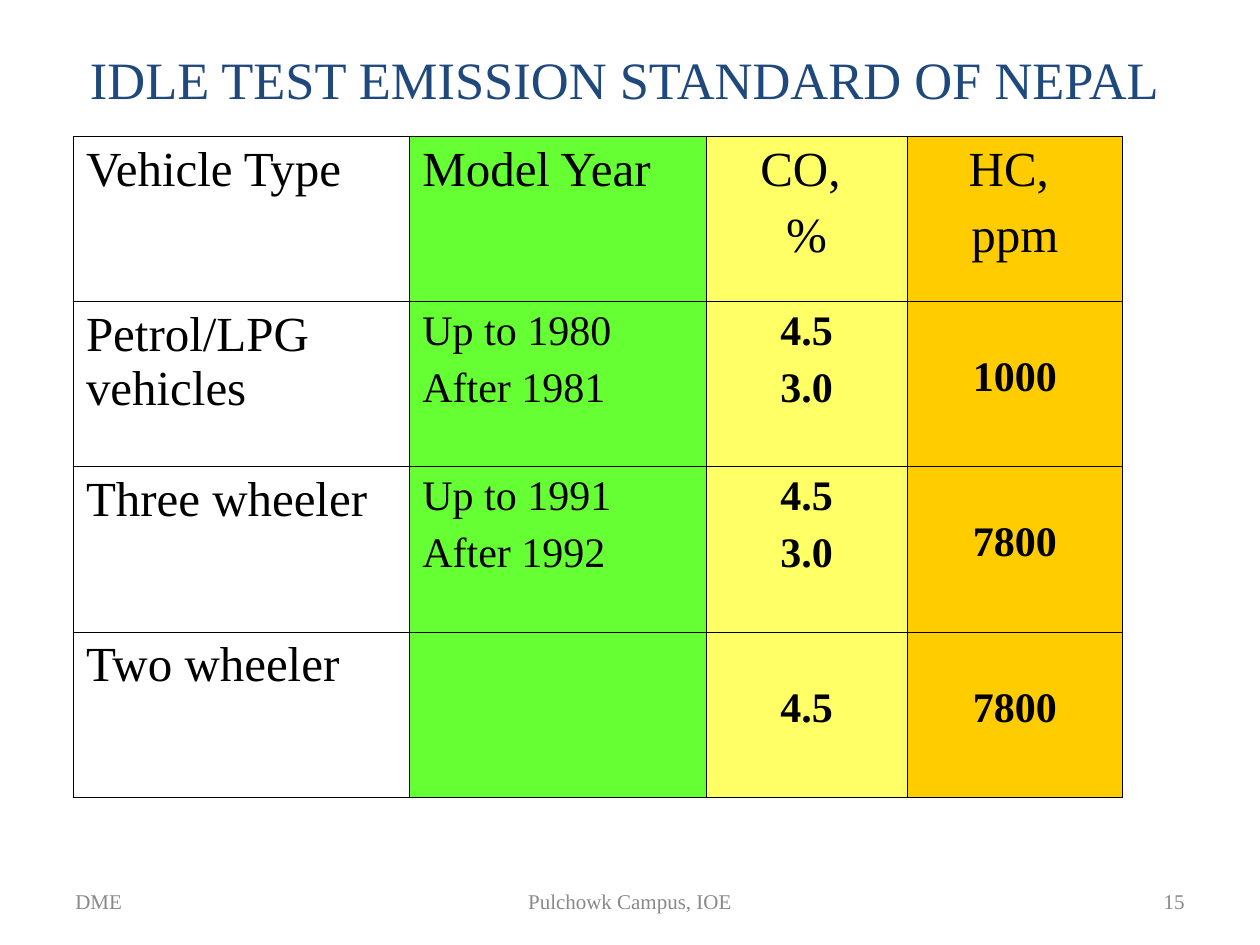
from lxml.etree import SubElement as Sub
from pptx import Presentation
from pptx.dml.color import RGBColor as Rgb
from pptx.enum.text import MSO_ANCHOR as Anchor, PP_ALIGN as Align
from pptx.oxml.ns import qn
from pptx.util import Cm, Pt

FONT = "Times New Roman"
INK, NAVY, GREY = "000000", "1F497D", "898989"
LEFT, MID, RIGHT = Align.LEFT, Align.CENTER, Align.RIGHT

# Content: text, left, top, width, height, align, size, colour
LABELS = [
    ("DME", 1.27, 17.65, 5.93, 1.02, LEFT, 12, GREY),
    ("Pulchowk Campus, IOE", 8.68, 17.65, 8.04, 1.02, MID, 12, GREY),
    ("15", 18.2, 17.65, 5.93, 1.02, RIGHT, 12, GREY),
    ("IDLE TEST EMISSION STANDARD OF NEPAL",
     1.27, 0.64, 22.65, 1.9, MID, 30, NAVY),
]
ROWS = [
    ("Vehicle Type", "Model Year", "CO, \n%", "HC, \nppm"),
    ("Petrol/LPG vehicles", "Up to 1980\nAfter 1981", "4.5\n3.0", "1000"),
    ("Three wheeler", "Up to 1991\nAfter 1992", "4.5\n3.0", "7800"),
    ("Two wheeler", "", "4.5", "7800"),
]
# Columns: width, fill, align
COLS = [
    (6.78, None, LEFT),
    (5.97, "66FF33", LEFT),
    (4.06, "FFFF66", MID),
    (4.34, "FFCC00", MID),
]
ROW_H = 3.33
THIN, THICK = 0.45, 1.08


def color(code):
    return Rgb.from_string(code)


def style(frame, align, size, code, bold=False):
    for para in frame.paragraphs:
        para.alignment = align
        for run in para.runs:
            font = run.font
            font.name, font.size, font.bold = FONT, Pt(size), bold
            font.color.rgb = color(code)


def border(cell, side, width):
    props = cell._tc.get_or_add_tcPr()
    line = Sub(props, qn("a:ln" + side), w=str(Pt(width)))
    fill = Sub(line, qn("a:solidFill"))
    Sub(fill, qn("a:srgbClr"), val=INK)


def fill_cell(cell, text, row, col):
    _, shade, align = COLS[col]
    # Borders come before the fill
    border(cell, "L", THIN if col else THICK)
    border(cell, "R", THIN)
    border(cell, "T", THIN if row else THICK)
    border(cell, "B", THIN)
    if shade:
        cell.fill.solid()
        cell.fill.fore_color.rgb = color(shade)
    else:
        cell.fill.background()

    # Headings and vehicle names are large, values are bold
    large = row == 0 or col == 0
    value = row > 0 and col > 1
    frame = cell.text_frame
    frame.text = text
    style(frame, align, 28 if large else 24, INK, value)
    paras = frame.paragraphs
    for para in paras[1:]:
        para.space_before = Pt(7 if large else 6)
    if value and len(paras) == 1:
        paras[0].line_spacing = 2.0


deck = Presentation()
deck.slide_width, deck.slide_height = Cm(25.4), Cm(19.05)
slide = deck.slides.add_slide(deck.slide_layouts[6])

# Emission table
total = sum(col[0] for col in COLS)
table = slide.shapes.add_table(
    len(ROWS), len(COLS), Cm(1.48), Cm(2.75),
    Cm(total), Cm(ROW_H * len(ROWS))).table
table.first_row = table.horz_banding = False
for col, (width, _, _) in enumerate(COLS):
    table.columns[col].width = Cm(width)
for row, texts in enumerate(ROWS):
    table.rows[row].height = Cm(ROW_H)
    for col, text in enumerate(texts):
        fill_cell(table.cell(row, col), text, row, col)

# Title and footer
for text, left, top, width, height, align, size, code in LABELS:
    box = slide.shapes.add_textbox(Cm(left), Cm(top), Cm(width), Cm(height))
    frame = box.text_frame
    frame.word_wrap = True
    frame.vertical_anchor = Anchor.MIDDLE
    frame.text = text
    style(frame, align, size, code)

deck.save("out.pptx")
